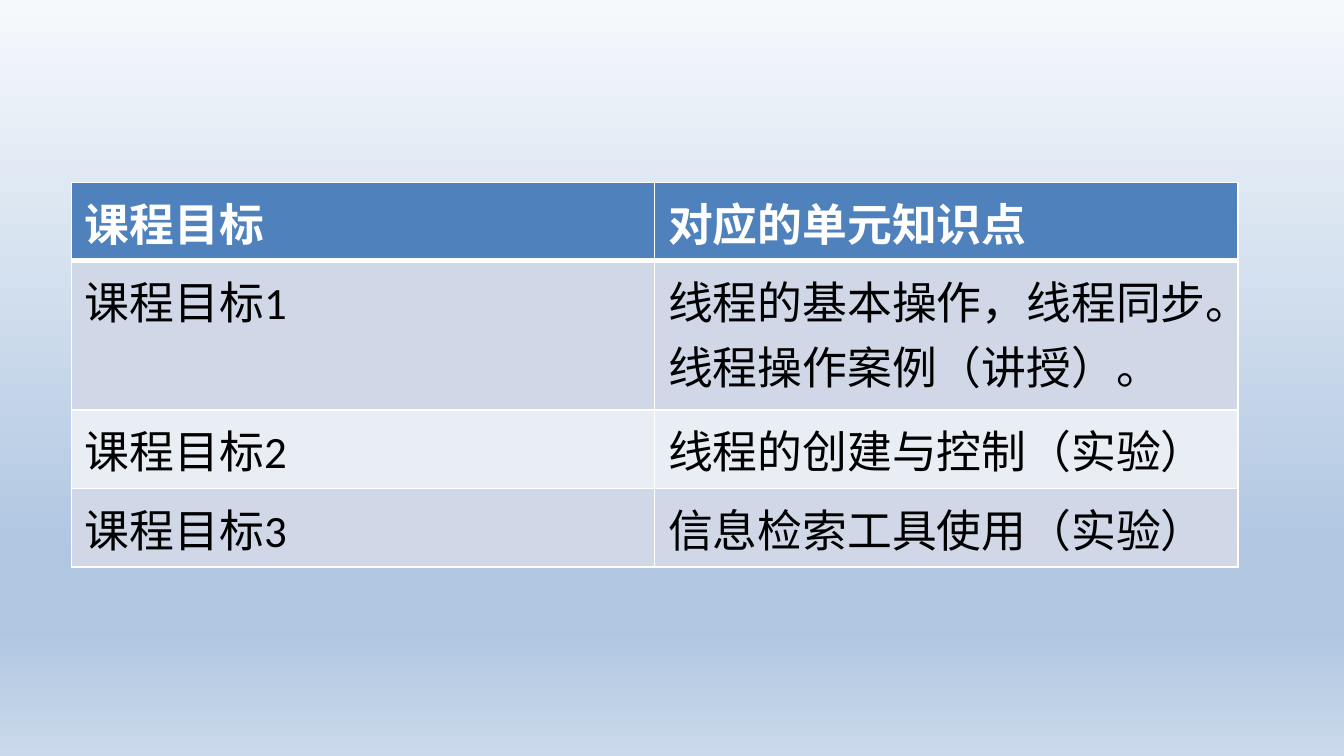
from typing import NamedTuple

from lxml import etree
from pptx import Presentation
from pptx import util as u
from pptx.dml.color import RGBColor
from pptx.oxml.ns import qn

COLORS = {
    "header": "4F81BD",
    "band_dark": "D0D8E8",
    "band_light": "E9EDF4",
    "white": "FFFFFF",
    "black": "000000",
    "sky_top": "F6F9FC",
    "sky_deep": "B0C6E1",
    "sky_bottom": "CAD9EB",
}
SKY_STOPS = [(0, "sky_top"), (74, "sky_deep"), (83, "sky_deep"), (100, "sky_bottom")]
LEFT, TOP, COLUMN_WIDTH = 38.25, 97.75, 312.5
THIN, THICK = 1, 3


class GoalRow(NamedTuple):
    goal: str
    topics: str
    height: float = 41


ROWS = [
    GoalRow("课程目标", "对应的单元知识点"),
    GoalRow("课程目标1", "线程的基本操作，线程同步。线程操作案例（讲授）。", 80),
    GoalRow("课程目标2", "线程的创建与控制（实验）"),
    GoalRow("课程目标3", "信息检索工具使用（实验）"),
]


def add_color(parent, name: str) -> None:
    etree.SubElement(parent, qn("a:srgbClr"), val=COLORS[name])


def set_background(s) -> None:
    fill = s.background.fill
    fill.gradient()
    fill.gradient_angle = 270
    stops = s.element.find(".//" + qn("a:gsLst"))
    for stop in list(stops):
        stops.remove(stop)
    for percent, name in SKY_STOPS:
        add_color(etree.SubElement(stops, qn("a:gs"), pos=str(percent * 1000)), name)


def set_borders(cell, top: float, bottom: float) -> None:
    """Draw white cell edges; the left and right ones are always thin."""
    tc_pr = cell._tc.get_or_add_tcPr()
    for side, width in (("L", THIN), ("R", THIN), ("T", top), ("B", bottom)):
        ln = etree.SubElement(tc_pr, qn(f"a:ln{side}"), w=str(u.Pt(width)))
        add_color(etree.SubElement(ln, qn("a:solidFill")), "white")


def write_cell(cell, content: str, row: int) -> None:
    is_header = row == 0
    set_borders(cell, THICK if row == 1 else THIN, THICK if is_header else THIN)
    band = "header" if is_header else "band_dark" if row % 2 else "band_light"
    cell.fill.solid()
    cell.fill.fore_color.rgb = RGBColor.from_string(COLORS[band])
    r = cell.text_frame.paragraphs[0].add_run()
    r.text = content
    r.font.name = "Calibri"
    r.font.size = u.Pt(24)
    r.font.bold = is_header
    r.font.color.rgb = RGBColor.from_string(COLORS["white" if is_header else "black"])


def add_goal_table(s, rows: list[GoalRow]) -> None:
    table = s.shapes.add_table(
        len(rows), 2, u.Pt(LEFT), u.Pt(TOP),
        u.Pt(2 * COLUMN_WIDTH), u.Pt(sum(row.height for row in rows)),
    ).table
    for column in table.columns:
        column.width = u.Pt(COLUMN_WIDTH)
    for i, row in enumerate(rows):
        table.rows[i].height = u.Pt(row.height)
        for j, content in enumerate((row.goal, row.topics)):
            write_cell(table.cell(i, j), content, i)


def main() -> None:
    prs = Presentation()
    prs.slide_width, prs.slide_height = u.Pt(720), u.Pt(405)
    s = prs.slides.add_slide(prs.slide_layouts[6])
    set_background(s)
    add_goal_table(s, ROWS)
    prs.save("out.pptx")


if __name__ == "__main__":
    main()
